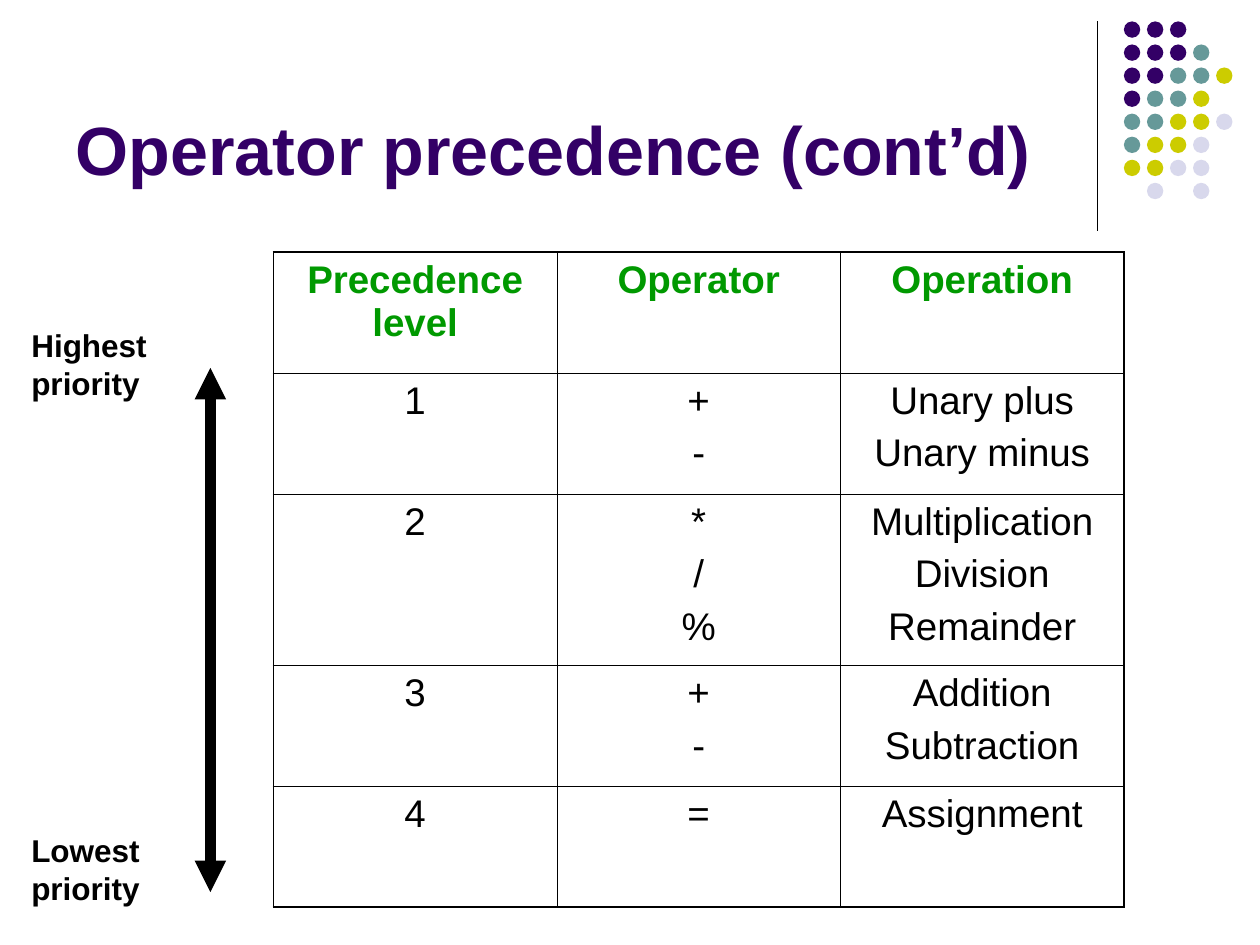
from lxml import etree
from pptx import Presentation
from pptx.dml.color import RGBColor
from pptx.enum.shapes import MSO_CONNECTOR, MSO_SHAPE
from pptx.enum.text import MSO_ANCHOR, MSO_AUTO_SIZE, PP_ALIGN
from pptx.oxml.ns import qn
from pptx.util import Inches, Pt

LEFT, CENTER = PP_ALIGN.LEFT, PP_ALIGN.CENTER
STRAIGHT, OVAL = MSO_CONNECTOR.STRAIGHT, MSO_SHAPE.OVAL

COLORS = {
    "purple": "330066", "teal": "669999", "olive": "CCCC00",
    "lilac": "D8D8EC", "green": "009900", "black": "000000",
}
DOT_COLORS = {"P": "purple", "T": "teal", "O": "olive", "L": "lilac"}
DOT_ROWS = ["PPP", "PPPT", "PPTTO", "PTTO", "TTOOL", "TOOL", "OOLL", " L L"]

TITLE_FORMAT = {"size": Pt(39), "bold": True, "color": "purple"}
HEADER_FORMAT = {"size": Pt(22), "bold": True, "color": "green"}
BODY_FORMAT = {"size": Pt(22), "bold": False, "color": "black"}
LABEL_FORMAT = {"size": Pt(18), "bold": True, "color": "black"}

TABLE_ROWS = [
    (["Precedence level"], ["Operator"], ["Operation"]),
    (["1"], ["+", "-"], ["Unary plus", "Unary minus"]),
    (["2"], ["*", "/", "%"], ["Multiplication", "Division", "Remainder"]),
    (["3"], ["+", "-"], ["Addition", "Subtraction"]),
    (["4"], ["="], ["Assignment"]),
]
ROW_HEIGHTS = [0.96, 0.96, 1.36, 0.96, 0.96]
OUTER_LINE, INNER_LINE = Pt(1.08), Pt(0.45)


def rgb(name):
    return RGBColor.from_string(COLORS[name])


def write_lines(tf, lines, fmt, align=LEFT, gap=Pt(0)):
    """Write one paragraph per line, with gap between paragraphs."""
    for i, line in enumerate(lines):
        p = tf.paragraphs[0] if i == 0 else tf.add_paragraph()
        p.alignment = align
        p.space_before = gap if i else Pt(0)
        r = p.add_run()
        r.text = line
        r.font.name = "Arial"
        for key, value in fmt.items():
            if key == "color":
                r.font.color.rgb = rgb(value)
            else:
                setattr(r.font, key, value)


def add_line(slide, x, top, bottom, width, arrows=False):
    """Add a vertical line, optionally with an arrowhead at both ends."""
    line = slide.shapes.add_connector(
        STRAIGHT, Inches(x), Inches(top), Inches(x), Inches(bottom))
    line.line.color.rgb = rgb("black")
    line.line.width = width
    if arrows:
        ln = line.line._get_or_add_ln()
        for tag in ("a:headEnd", "a:tailEnd"):
            etree.SubElement(ln, qn(tag), type="triangle")
    etree.SubElement(line._element.spPr, qn("a:effectLst"))


def add_dots(slide, left, top, step=0.183, size=0.13):
    group = slide.shapes.add_group_shape()
    for i, row in enumerate(DOT_ROWS):
        for j, code in enumerate(row):
            if code == " ":
                continue
            sp = group.shapes.add_shape(
                OVAL, Inches(left + j * step), Inches(top + i * step),
                Inches(size), Inches(size))
            sp.shadow.inherit = False
            sp.fill.solid()
            sp.fill.fore_color.rgb = rgb(DOT_COLORS[code])
            sp.line.fill.background()


def set_title(slide, text, left, top, width, height):
    sp = slide.shapes.title
    sp.left, sp.top = Inches(left), Inches(top)
    sp.width, sp.height = Inches(width), Inches(height)
    tf = sp.text_frame
    tf.auto_size = MSO_AUTO_SIZE.NONE
    tf.vertical_anchor = MSO_ANCHOR.BOTTOM
    write_lines(tf, [text], TITLE_FORMAT)


def set_borders(cell, widths):
    """Draw the cell's borders from a dict of side letter to width."""
    tc_pr = cell._tc.get_or_add_tcPr()
    for side, width in widths.items():
        ln = etree.SubElement(tc_pr, qn(f"a:ln{side}"), w=str(width))
        fill = etree.SubElement(ln, qn("a:solidFill"))
        etree.SubElement(fill, qn("a:srgbClr"), val=COLORS["black"])


def add_precedence_table(slide, left, top, width):
    n_rows, n_cols = len(TABLE_ROWS), len(TABLE_ROWS[0])
    table = slide.shapes.add_table(
        n_rows, n_cols, Inches(left), Inches(top),
        Inches(width), Inches(sum(ROW_HEIGHTS))).table
    for col in table.columns:
        col.width = Inches(width / n_cols)
    for i, row in enumerate(TABLE_ROWS):
        table.rows[i].height = Inches(ROW_HEIGHTS[i])
        for j, lines in enumerate(row):
            cell = table.cell(i, j)
            on_edge = {"L": j == 0, "R": j == n_cols - 1,
                       "T": i == 0, "B": i == n_rows - 1}
            set_borders(cell, {side: OUTER_LINE if edge else INNER_LINE
                               for side, edge in on_edge.items()})
            cell.fill.background()
            write_lines(cell.text_frame, lines,
                        BODY_FORMAT if i else HEADER_FORMAT, CENTER, Pt(5.5))


def add_label(slide, lines, left, top, width, height=0.7):
    sp = slide.shapes.add_textbox(
        Inches(left), Inches(top), Inches(width), Inches(height))
    sp.text_frame.word_wrap = False
    sp.text_frame.auto_size = MSO_AUTO_SIZE.SHAPE_TO_FIT_TEXT
    write_lines(sp.text_frame, lines, LABEL_FORMAT)


def add_priority_scale(slide, left, top):
    add_line(slide, left + 1.52, top + 0.38, top + 4.54, Pt(6), arrows=True)
    add_label(slide, ["Highest", "priority"], left, top, 1.18)
    add_label(slide, ["Lowest", "priority"], left, top + 4.01, 1.13)


def main():
    prs = Presentation()
    prs.slide_width, prs.slide_height = Inches(10), Inches(7.5)
    slide = prs.slides.add_slide(prs.slide_layouts[5])
    add_line(slide, 8.71, 0.17, 1.83, Pt(0.75))
    add_dots(slide, 8.92, 0.17)
    set_title(slide, "Operator precedence (cont’d)", 0.5, 0.13, 8.25, 1.42)
    add_precedence_table(slide, 2.17, 2, 6.75)
    add_priority_scale(slide, 0.15, 2.54)
    prs.save("out.pptx")


if __name__ == "__main__":
    main()
